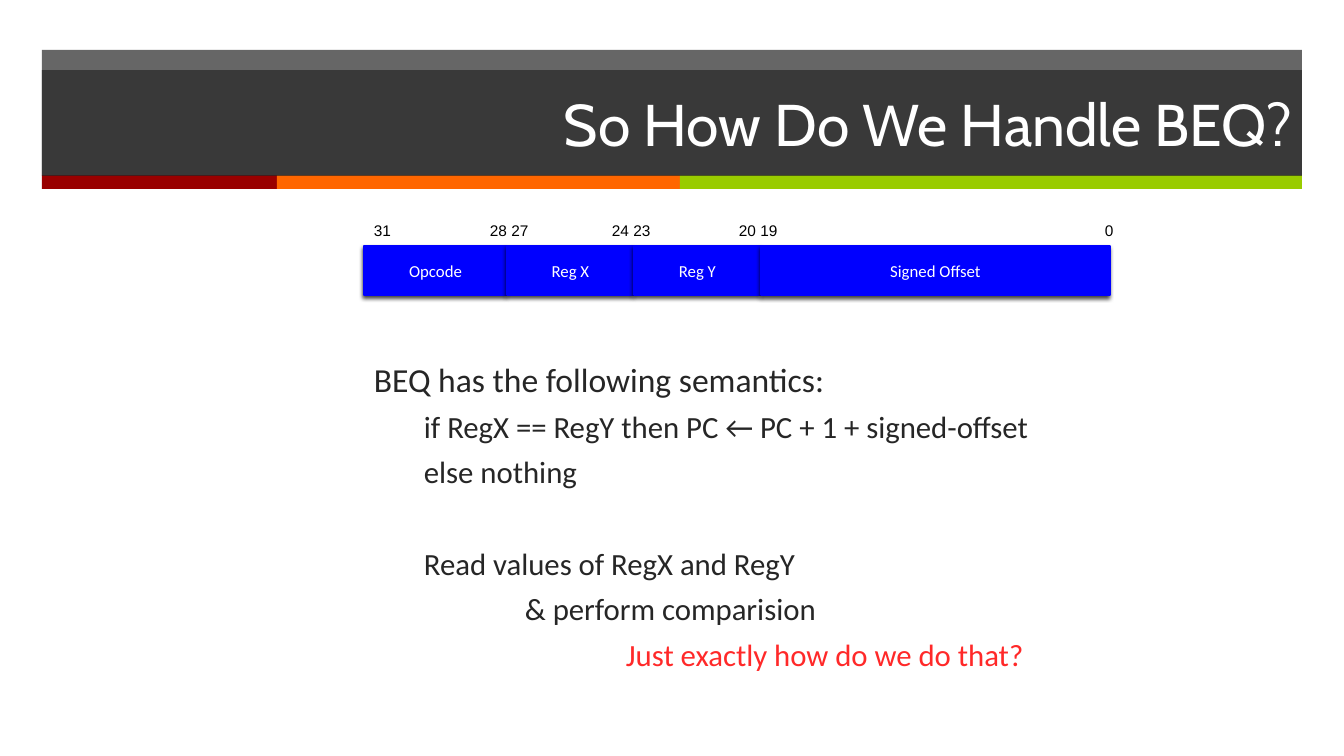
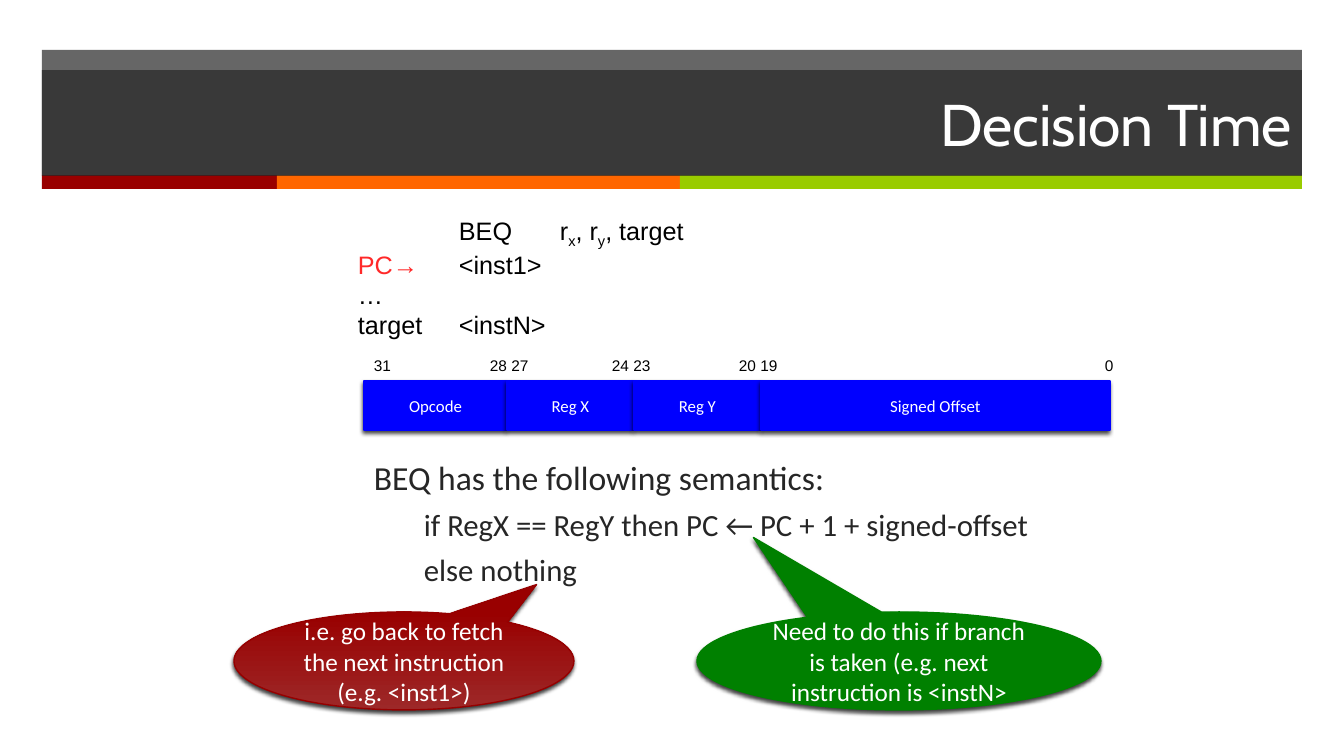
from itertools import pairwise

from lxml import etree
from pptx import Presentation
from pptx.dml.color import RGBColor
from pptx.enum.shapes import MSO_SHAPE
from pptx.enum.text import MSO_ANCHOR, MSO_AUTO_SIZE, PP_ALIGN
from pptx.oxml.ns import qn
from pptx.util import Emu, Pt

RECTANGLE = MSO_SHAPE.RECTANGLE
CALLOUT = MSO_SHAPE.OVAL_CALLOUT
LEFT, CENTER, RIGHT = PP_ALIGN.LEFT, PP_ALIGN.CENTER, PP_ALIGN.RIGHT
MIDDLE = MSO_ANCHOR.MIDDLE
NO_AUTOFIT = MSO_AUTO_SIZE.NONE

EMU_PER_PX = 914400 / 100.8
TITLE_ONLY = 5


def px(length):
    return Emu(round(length * EMU_PER_PX))


def rgb(value):
    return RGBColor.from_string(value)


class Deck:
    TITLE_FONT, BODY_FONT, LABEL_FONT = "Cabin", "Calibri", "Arial"
    WHITE, BLACK, DARK = "FFFFFF", "000000", "262626"
    RED, GREEN, BLUE = "990000", "008000", "0000FF"
    ACCENT = "FF2929"
    BAND_OPACITY = 70
    BAND_LEFT, BAND_WIDTH = 42, 1260
    STRIPE_EDGES = (42, 277, 680, 1302)
    STRIPE_COLORS = (RED, "FF6600", "99CC00")
    FIELD_EDGES = (364, 507, 634, 761, 1110)
    FIELD_NAMES = ("Opcode", "Reg X", "Reg Y", "Signed Offset")
    BIT_LABELS = (
        (364, 66, "31"),
        (480, 104, "28 27"),
        (602, 104, "24 23"),
        (729, 104, "20 19"),
        (1095, 66, "0"),
    )

    def __init__(self):
        self.presentation = Presentation()
        self.presentation.slide_width = px(1344)
        self.presentation.slide_height = px(756)
        self.slide = None

    def add_slide(self, heading):
        layout = self.presentation.slide_layouts[TITLE_ONLY]
        self.slide = self.presentation.slides.add_slide(layout)
        band = self.box(self.BAND_LEFT, 50, self.BAND_WIDTH, 125, self.DARK)
        self.opacity(band, self.BAND_OPACITY)
        for (left, right), color in zip(pairwise(self.STRIPE_EDGES), self.STRIPE_COLORS):
            self.box(left, 175, right - left, 14, color)
        self.title(heading)

    def title(self, heading):
        title = self.slide.shapes.title
        title.left, title.top = px(self.BAND_LEFT), px(70)
        title.width, title.height = px(self.BAND_WIDTH), px(106)
        title.fill.solid()
        title.fill.fore_color.rgb = rgb(self.DARK)
        self.opacity(title, self.BAND_OPACITY)
        frame = title.text_frame
        frame.text = heading
        frame.auto_size = NO_AUTOFIT
        frame.vertical_anchor = MIDDLE
        self.style(frame.paragraphs[0], self.TITLE_FONT, 42, self.WHITE, RIGHT)
        self.slide.shapes._spTree.append(title._element)

    def style(self, paragraph, font, size, color, align=LEFT):
        paragraph.alignment = align
        for run in paragraph.runs:
            run.font.name = font
            run.font.size = Pt(size)
            run.font.color.rgb = rgb(color)

    def opacity(self, shape, percent):
        color = shape._element.spPr.find(f"{qn('a:solidFill')}/{qn('a:srgbClr')}")
        etree.SubElement(color, qn("a:alpha"), val=str(percent * 1000))

    def box(self, left, top, width, height, color, kind=RECTANGLE):
        shape = self.slide.shapes.add_shape(kind, px(left), px(top), px(width), px(height))
        shape.shadow.inherit = False
        shape.fill.solid()
        shape.fill.fore_color.rgb = rgb(color)
        shape.line.fill.background()
        return shape

    def raised_box(self, left, top, width, height, color, text, size, kind=RECTANGLE):
        shape = self.box(left, top, width, height, color, kind)
        shape.line.color.rgb = rgb(color)
        shape.line.width = Pt(1)
        effects = shape._element.spPr.find(qn("a:effectLst"))
        shadow = etree.SubElement(
            effects, qn("a:outerShdw"), blurRad=str(Pt(3)), dist=str(Pt(2)),
            dir=str(110 * 60000), rotWithShape="0",
        )
        shade = etree.SubElement(shadow, qn("a:srgbClr"), val=self.BLACK)
        etree.SubElement(shade, qn("a:alpha"), val="75000")
        frame = shape.text_frame
        frame.word_wrap = True
        frame.vertical_anchor = MIDDLE
        frame.text = text
        self.style(frame.paragraphs[0], self.BODY_FONT, size, self.WHITE, CENTER)
        return shape

    def text_frame(self, left, top, width, height):
        box = self.slide.shapes.add_textbox(px(left), px(top), px(width), px(height))
        box.text_frame.word_wrap = True
        return box.text_frame

    def instruction_format(self, top):
        for (left, right), name in zip(pairwise(self.FIELD_EDGES), self.FIELD_NAMES):
            self.raised_box(left, top, right - left, 49, self.BLUE, name, 12)
        for left, width, bits in self.BIT_LABELS:
            frame = self.text_frame(left, top - 30, width, 29)
            frame.text = bits
            self.style(frame.paragraphs[0], self.LABEL_FONT, 11, self.BLACK)

    def body(self, top, height, heading, steps):
        frame = self.text_frame(364, top, 780, height)
        frame.text = heading
        self.style(frame.paragraphs[0], self.BODY_FONT, 24, self.DARK)
        for text, indent, space, color in steps:
            paragraph = frame.add_paragraph()
            paragraph.text = text
            paragraph.space_before = Pt(space)
            paragraph._p.get_or_add_pPr().set("marL", str(px(indent)))
            self.style(paragraph, self.BODY_FONT, 22, color)

    def code(self, left, top, width, height, tab_stops, lines):
        frame = self.text_frame(left, top, width, height)
        for number, pieces in enumerate(lines):
            paragraph = frame.add_paragraph() if number else frame.paragraphs[0]
            for text in pieces:
                paragraph.add_run().text = text
            self.style(paragraph, self.LABEL_FONT, 18, self.BLACK)
            stops = etree.SubElement(paragraph._p.get_or_add_pPr(), qn("a:tabLst"))
            for stop in tab_stops:
                etree.SubElement(stops, qn("a:tab"), pos=str(px(stop)), algn="l")
        return frame

    def callout(self, left, width, color, text, tip):
        bubble = self.raised_box(left, 612, width, 98, color, text, 18, CALLOUT)
        bubble.adjustments[0], bubble.adjustments[1] = tip
        return bubble

    def save(self):
        self.presentation.save("out.pptx")


def main():
    deck = Deck()
    semantics = "BEQ has the following semantics:"
    branch_rule = [
        ("if RegX == RegY then PC ← PC + 1 + signed-offset", 50, 6, deck.DARK),
        ("else nothing", 50, 6, deck.DARK),
    ]

    deck.add_slide("So How Do We Handle BEQ?")
    deck.body(354, 378, semantics, branch_rule + [
        ("Read values of RegX and RegY", 50, 39, deck.DARK),
        ("& perform comparision", 151, 6, deck.DARK),
        ("Just exactly how do we do that?", 252, 6, deck.ACCENT),
    ])
    deck.instruction_format(246)

    deck.add_slide("Decision Time")
    deck.body(452, 195, semantics, branch_rule)
    deck.instruction_format(381)
    listing = deck.code(348, 210, 762, 132, (101, 202), [
        ("\tBEQ\tr", "x", ", r", "y", ", target"),
        ("PC→", "\t<inst1>"),
        ("…",),
        ("target\t<instN>",),
    ])
    branch, first = listing.paragraphs[:2]
    for subscript in branch.runs[1::2]:
        subscript.font._element.set("baseline", "-25000")
    first.runs[0].font.color.rgb = rgb(deck.ACCENT)

    fall_through = deck.callout(
        234, 340, deck.RED,
        "i.e. go back to fetch the next instruction (e.g. <inst1>)", (0.39, -0.78),
    )
    fall_through.line.color.rgb = rgb("960000")
    fall_through.fill.gradient()
    fall_through.fill.gradient_angle = 90
    for stop, color in zip(fall_through.fill.gradient_stops, ("9D2828", deck.RED)):
        stop.color.rgb = rgb(color)
    deck.callout(
        697, 404, deck.GREEN,
        "Need to do this if branch is taken (e.g. next instruction is <instN>", (-0.36, -1.26),
    )
    deck.save()


if __name__ == "__main__":
    main()
